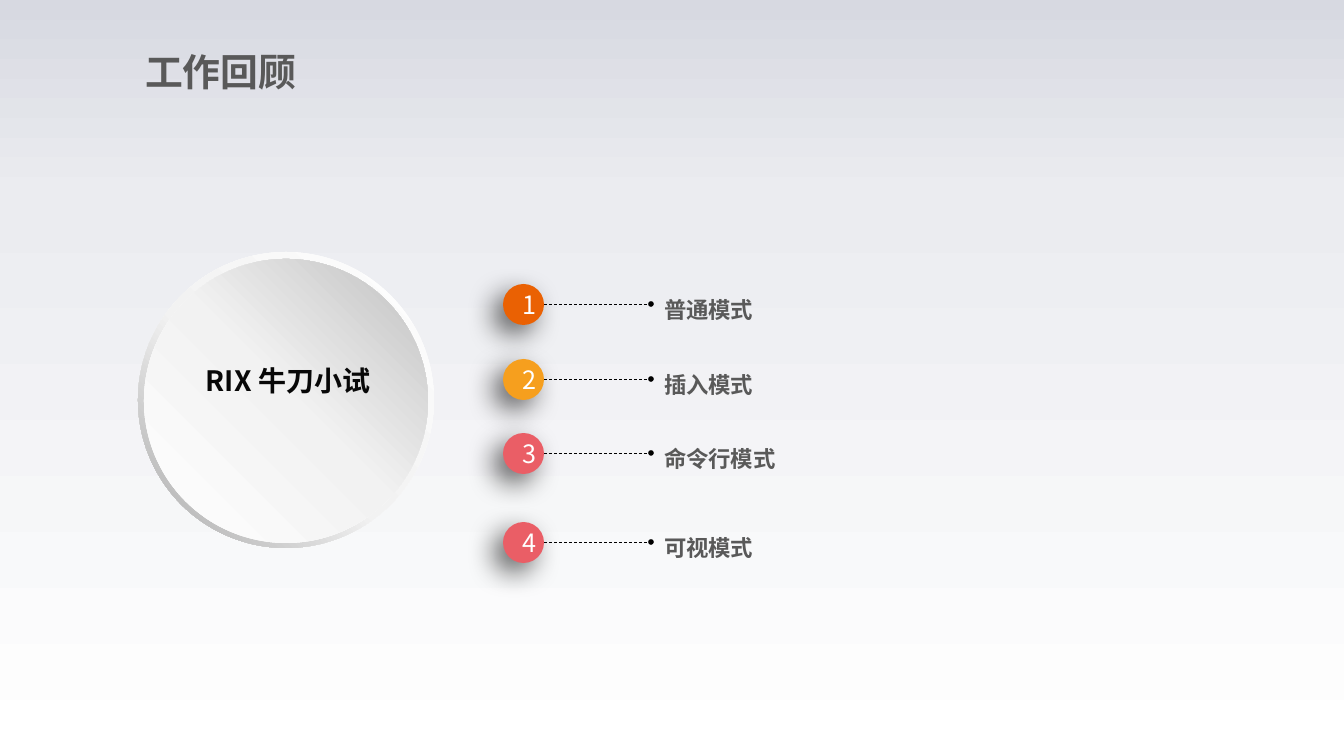
"""Build the work review slide on the four editor modes."""
from copy import deepcopy

from lxml.etree import SubElement as Sub
from pptx import Presentation
from pptx.dml.color import RGBColor as RGB
from pptx.enum.dml import MSO_LINE as Dash
from pptx.enum.shapes import MSO_CONNECTOR as Link, MSO_SHAPE as Kind
from pptx.enum.text import MSO_ANCHOR as Anchor, MSO_AUTO_SIZE as Fit, PP_ALIGN as Align
from pptx.oxml.ns import qn
from pptx.util import Pt

PX = 9071.43
FONT = "Noto Sans CJK SC"
WHITE = RGB(0xFF, 0xFF, 0xFF)
PALE = RGB(0xF2, 0xF2, 0xF2)
SILVER = RGB(0xBF, 0xBF, 0xBF)
STEEL = RGB(0xA6, 0xA6, 0xA6)
MIST = RGB(0xD7, 0xD9, 0xE1)
HAZE = RGB(0xEB, 0xEC, 0xF0)
GREY = RGB(0x59, 0x59, 0x59)
INK = RGB(0x08, 0x08, 0x08)
BLACK = RGB(0, 0, 0)
RUST = RGB(0xEA, 0x61, 0x03)
AMBER = RGB(0xF6, 0x9F, 0x1E)
ROSE = RGB(0xEA, 0x5E, 0x66)


def px(*nums):
    return [round(num * PX) for num in nums]


def write(shape, text, size, color, align, bold=True, pad=(0, 0), fit=Fit.SHAPE_TO_FIT_TEXT):
    frame = shape.text_frame
    frame.word_wrap = True
    frame.auto_size = fit
    frame.margin_left = frame.margin_right = px(pad[0])[0]
    frame.margin_top = frame.margin_bottom = px(pad[1])[0]
    para = frame.paragraphs[0]
    para.alignment = align
    run = para.add_run()
    run.text = text
    font = run.font
    font.name, font.size, font.bold = FONT, Pt(size), bold
    font.color.rgb = color
    Sub(run._r.get_or_add_rPr(), qn("a:ea"), typeface=FONT)
    return para


deck = Presentation()
deck.slide_width, deck.slide_height = px(1344, 756)
slide = deck.slides.add_slide(deck.slide_layouts[5])
shapes = slide.shapes

title = shapes.title
title.left, title.top, title.width, title.height = px(145, 49, 296, 45)
write(title, "工作回顾", 27, GREY, Align.LEFT, fit=Fit.NONE)
title.text_frame.vertical_anchor = Anchor.TOP

disc = shapes.add_group_shape()
ring = disc.shapes.add_shape(Kind.DONUT, *px(138, 252, 296, 296))
ring.adjustments[0] = 0.05
face = disc.shapes.add_shape(Kind.OVAL, *px(144, 259, 284, 284))
for part in (ring, face):
    part.shadow.inherit = False
    part.line.fill.background()

for item, fill, angle, stops in (
    (slide, slide.background.fill, 270, ((0, MIST), (0.26, HAZE), (1, WHITE))),
    (ring, ring.fill, 225, ((0, WHITE), (0.55, PALE), (1, STEEL))),
    (face, face.fill, 45, ((0, WHITE), (0.51, PALE), (1, SILVER))),
):
    fill.gradient()
    fill.gradient_angle = angle
    ramp = item.element.find(".//" + qn("a:gsLst"))
    ramp.append(deepcopy(ramp[0]))
    for stop, (place, color) in zip(fill.gradient_stops, stops):
        stop.position = place
        stop.color.rgb = color

topic = shapes.add_textbox(*px(185, 379, 206, 18))
write(topic, "RIX 牛刀小试", 20, INK, Align.CENTER).line_spacing = Pt(13)

modes = (
    (304, RUST, "普通模式"),
    (379, AMBER, "插入模式"),
    (453, ROSE, "命令行模式"),
    (542, ROSE, "可视模式"),
)
for num, (mid, color, name) in enumerate(modes, 1):
    lead = shapes.add_connector(Link.STRAIGHT, *px(534, mid, 651, mid))
    lead.line.color.rgb = BLACK
    lead.line.width = Pt(0.5)
    lead.line.dash_style = Dash.DASH
    Sub(lead.element.spPr.find(qn("a:ln")), qn("a:tailEnd"), type="oval", w="sm", len="sm")
    Sub(lead.element.spPr, qn("a:effectLst"))

    badge = shapes.add_shape(Kind.OVAL, *px(503, mid - 20, 41, 41))
    badge.fill.solid()
    badge.fill.fore_color.rgb = color
    badge.line.fill.background()
    badge.shadow.inherit = False
    glow = Sub(badge.element.spPr.find(qn("a:effectLst")), qn("a:outerShdw"),
               blurRad=str(Pt(20)), dist=str(Pt(10)), dir="8100000", algn="tr", rotWithShape="0")
    shade = Sub(glow, qn("a:srgbClr"), val=str(BLACK))
    Sub(shade, qn("a:alpha"), val="60000")
    write(badge, str(num), 18, WHITE, Align.CENTER, bold=False, pad=(13, 7), fit=Fit.NONE)
    badge.text_frame.vertical_anchor = Anchor.MIDDLE

    label = shapes.add_textbox(*px(664, mid - 21, 593, 40))
    write(label, name, 16, GREY, Align.JUSTIFY).line_spacing = 1.5

deck.save("out.pptx")
